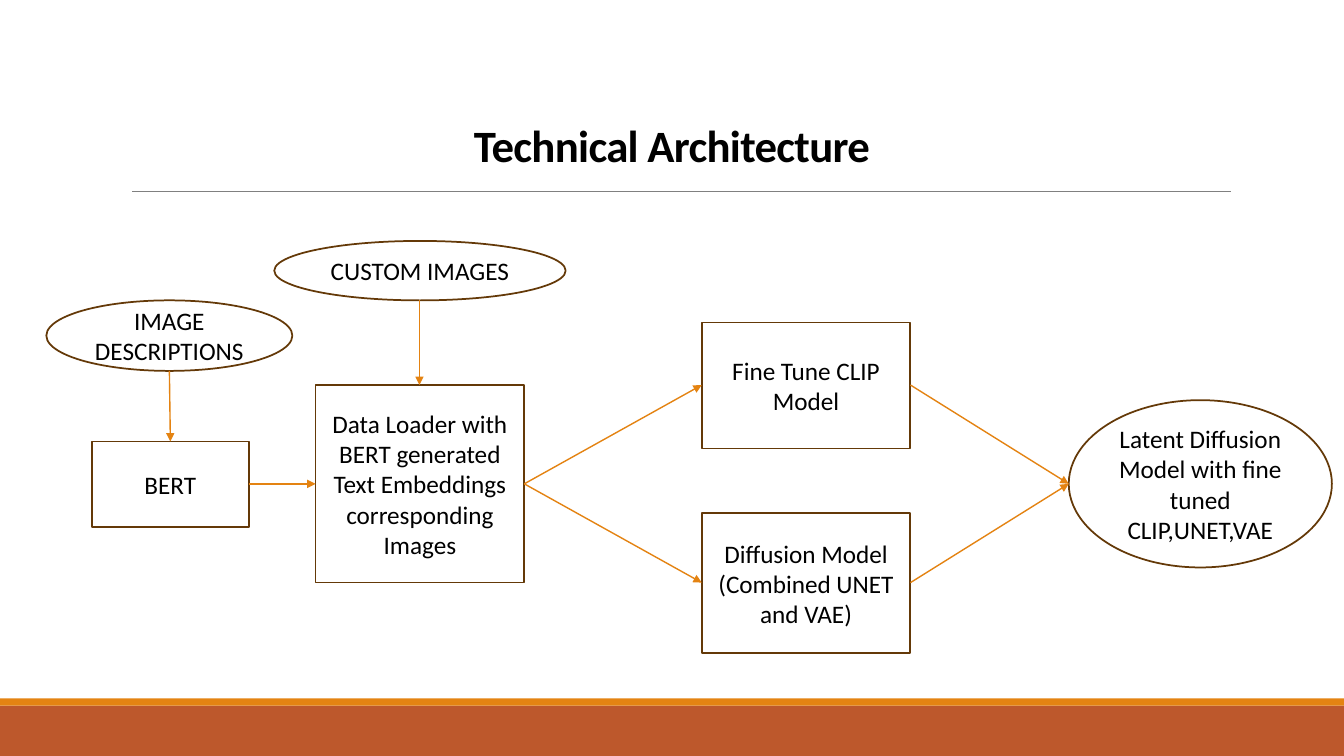
from pptx import Presentation
from pptx.dml.color import RGBColor
from pptx.enum.shapes import MSO_CONNECTOR, MSO_SHAPE
from pptx.enum.text import MSO_ANCHOR, PP_ALIGN
from pptx.oxml.ns import qn
from pptx.util import Pt
from lxml.etree import SubElement

PX = 9144
BLACK = RGBColor(0x00, 0x00, 0x00)
GRAY = RGBColor(0x80, 0x80, 0x80)
BROWN = RGBColor(0x64, 0x39, 0x08)
ORANGE = RGBColor(0xE4, 0x83, 0x12)
RUST = RGBColor(0xBD, 0x58, 0x2C)


def write(box, text, anchor, line_spacing, font_format):
    frame = box.text_frame
    frame.word_wrap = True
    frame.vertical_anchor = anchor
    para = frame.paragraphs[0]
    para.alignment = PP_ALIGN.CENTER
    para.line_spacing = line_spacing
    span = para.add_run()
    span.text = text
    span.font.color.rgb = BLACK
    for name, value in font_format.items():
        setattr(span.font, name, value)
    return span


def draw_line(page, ends, color, width):
    line = page.shapes.add_connector(MSO_CONNECTOR.STRAIGHT, *[end * PX for end in ends])
    line.line.color.rgb = color
    line.line.width = Pt(width)
    SubElement(line._element.spPr, qn("a:effectLst"))
    return line


deck = Presentation()
deck.slide_width, deck.slide_height = 1333 * PX, 750 * PX
page = deck.slides.add_slide(deck.slide_layouts[6])

for top, height, color in [(700, 50, RUST), (693, 7, ORANGE)]:
    band = page.shapes.add_shape(MSO_SHAPE.RECTANGLE, 0, top * PX, 1333 * PX, height * PX)
    band.shadow.inherit = False
    band.fill.solid()
    band.fill.fore_color.rgb = color
    band.line.fill.background()

draw_line(page, (131, 190, 1221, 190), GRAY, 0.5)

title = page.shapes.add_textbox(386 * PX, 70 * PX, 561 * PX, 105 * PX)
title_format = {"name": "Calibri", "size": Pt(32), "bold": True}
title_span = write(title, "Technical Architecture", MSO_ANCHOR.BOTTOM, 0.85, title_format)
title_span.font._element.set("spc", "-50")

RECT, OVAL = MSO_SHAPE.RECTANGLE, MSO_SHAPE.OVAL
nodes = {
    "clip": (RECT, 696, 320, 207, 125, "Fine Tune CLIP Model"),
    "loader": (RECT, 313, 382, 207, 196,
               "Data Loader with BERT generated Text Embeddings corresponding Images"),
    "bert": (RECT, 91, 438, 156, 85, "BERT"),
    "descriptions": (OVAL, 46, 298, 244, 70, "IMAGE DESCRIPTIONS"),
    "images": (OVAL, 272, 239, 289, 59, "CUSTOM IMAGES"),
    "diffusion": (RECT, 696, 509, 207, 139, "Diffusion Model (Combined UNET and VAE)"),
    "latent": (OVAL, 1060, 397, 261, 166,
               "Latent Diffusion Model with fine tuned CLIP,UNET,VAE"),
}
node_format = {"name": "Calibri", "size": Pt(18)}
for kind, left, top, width, height, text in nodes.values():
    box = page.shapes.add_shape(kind, left * PX, top * PX, width * PX, height * PX)
    box.shadow.inherit = False
    box.fill.background()
    box.line.color.rgb = BROWN
    box.line.width = Pt(1.25)
    write(box, text, MSO_ANCHOR.MIDDLE, 1.0, node_format)

flows = [
    ("descriptions", "bert", "down"),
    ("bert", "loader", "right"),
    ("images", "loader", "down"),
    ("loader", "clip", "right"),
    ("loader", "diffusion", "right"),
    ("diffusion", "latent", "right"),
    ("clip", "latent", "right"),
]
for source, target, direction in flows:
    left, top, width, height = nodes[source][1:5]
    target_left, target_top, target_width, target_height = nodes[target][1:5]
    if direction == "down":
        ends = (left + width // 2, top + height,
                target_left + target_width // 2, target_top)
    else:
        ends = (left + width, top + height // 2,
                target_left, target_top + target_height // 2)
    arrow = draw_line(page, ends, ORANGE, 1)
    SubElement(arrow.line._get_or_add_ln(), qn("a:tailEnd"), type="triangle")

deck.save("out.pptx")
